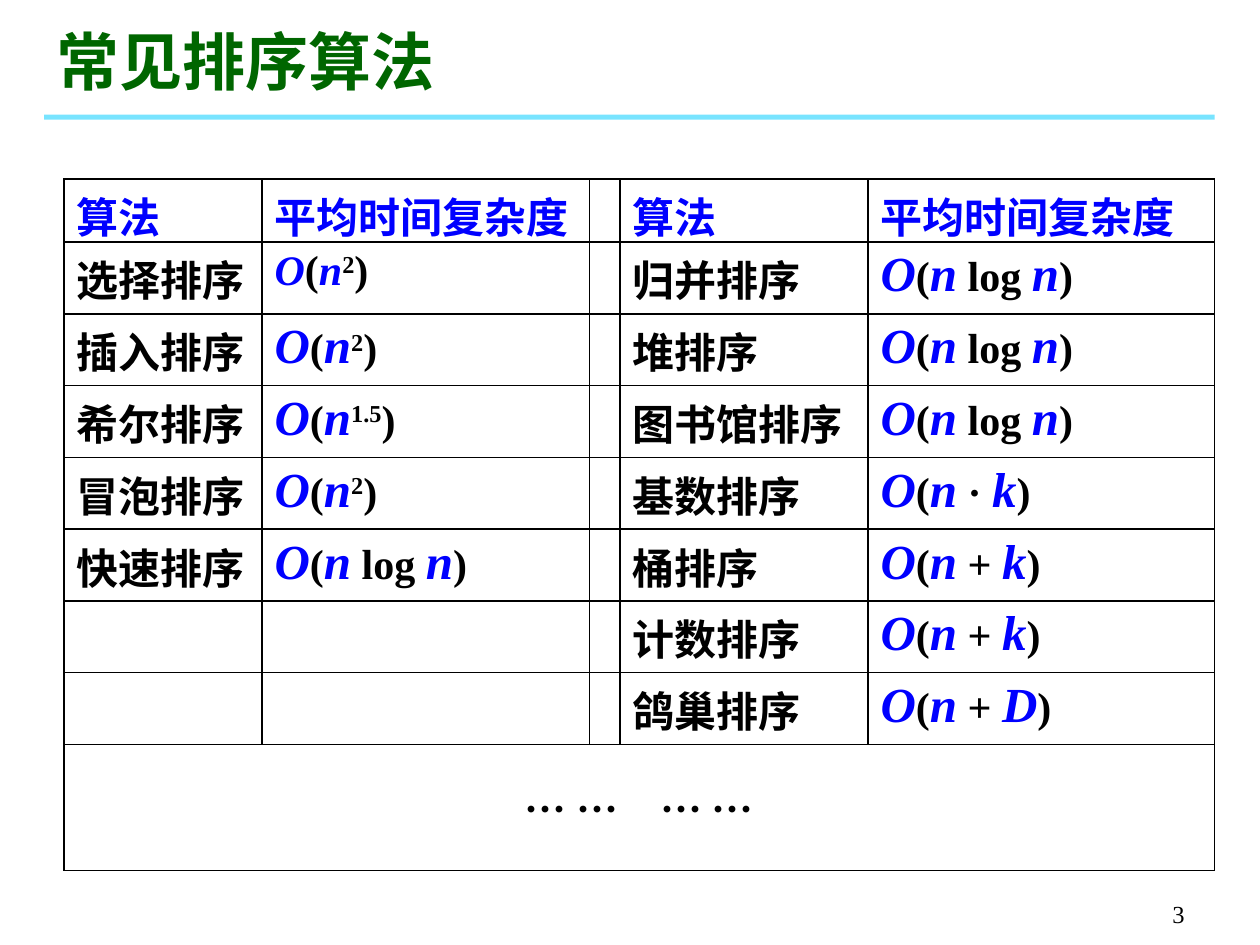
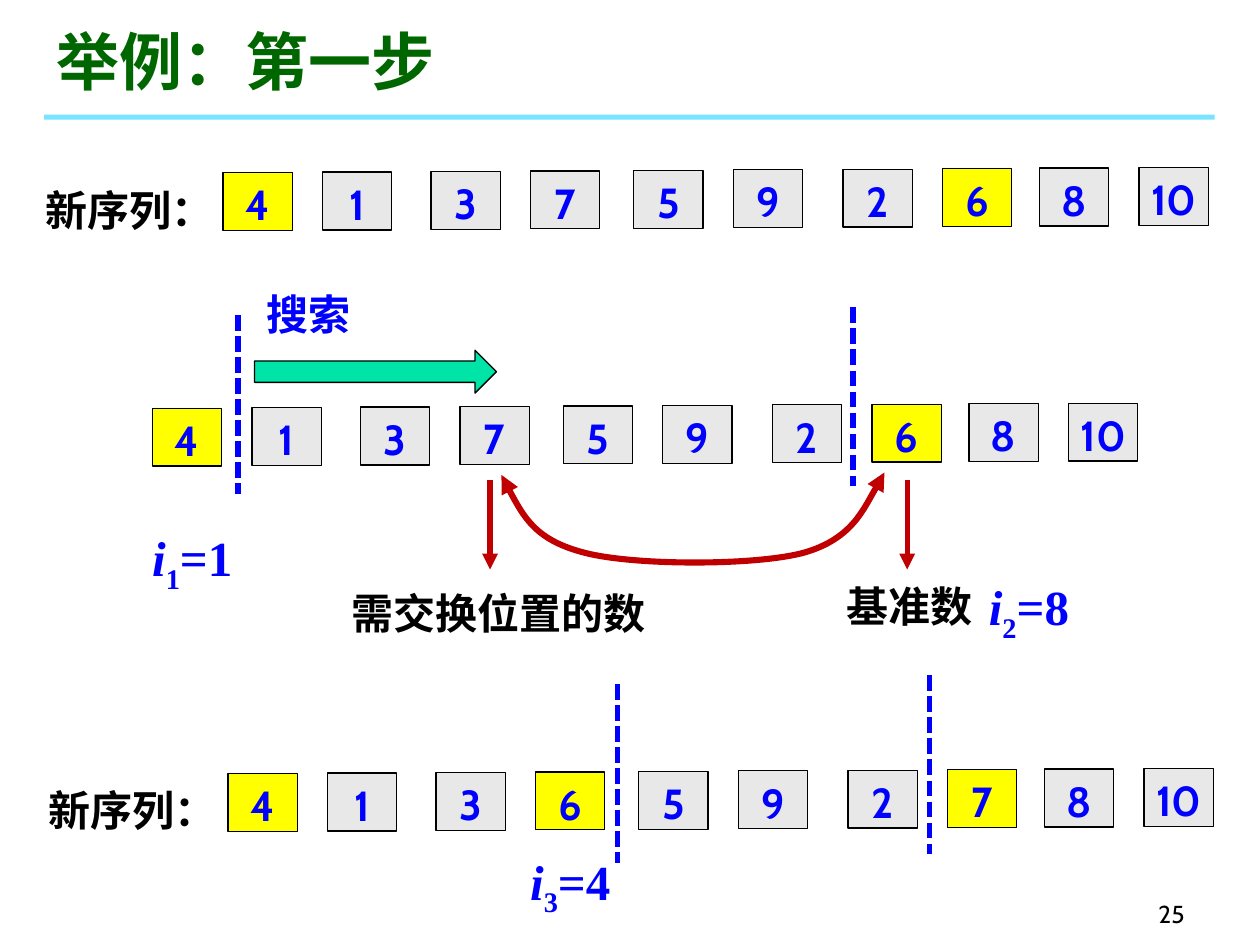
import dataclasses

import lxml.etree
import pptx
import pptx.dml.color
import pptx.enum.dml
import pptx.enum.shapes
import pptx.enum.text
import pptx.oxml
import pptx.oxml.ns
import pptx.util

Inches = pptx.util.Inches
Pt = pptx.util.Pt
qn = pptx.oxml.ns.qn
Align = pptx.enum.text.PP_ALIGN
Anchor = pptx.enum.text.MSO_ANCHOR
AutoSize = pptx.enum.text.MSO_AUTO_SIZE
Preset = pptx.enum.shapes.MSO_SHAPE


@dataclasses.dataclass(frozen=True)
class Theme:
    black: str = "000000"
    blue: str = "0000FF"
    title: str = "006600"
    band: str = "00CCFF"
    plain_box: str = "E8E8E8"
    marked_box: str = "FFFF00"
    search_arrow: str = "00E4A8"
    swap: str = "C00000"
    serif: str = "Times New Roman"
    sans: str = "Cabin"
    mono: str = "DejaVu Sans Mono"
    title_size: int = 36
    symbol_size: int = 28
    body_size: int = 24
    page_size: int = 14


THEME = Theme()

COLUMN_WIDTHS = [1.57, 2.6, 0.24, 1.97, 2.75]
ROW_HEIGHTS = [0.49] + [0.57] * 7 + [1.0]
HEADINGS = ["算法", "平均时间复杂度"]
SQUARE = ["n", "^2"]
LINEARITHMIC = ["n", " log ", "n"]
LEFT_ALGORITHMS = [
    ("选择排序", SQUARE),
    ("插入排序", SQUARE),
    ("希尔排序", ["n", "^1.5"]),
    ("冒泡排序", SQUARE),
    ("快速排序", LINEARITHMIC),
]
RIGHT_ALGORITHMS = [
    ("归并排序", LINEARITHMIC),
    ("堆排序", LINEARITHMIC),
    ("图书馆排序", LINEARITHMIC),
    ("基数排序", ["n", " · ", "k"]),
    ("桶排序", ["n", " + ", "k"]),
    ("计数排序", ["n", " + ", "k"]),
    ("鸽巢排序", ["n", " + ", "D"]),
]

BOX_OFFSETS = [0, 0.79, 1.65, 2.44, 3.26, 4.05, 4.92, 5.71, 6.48, 7.27]
BOX_WIDTH, BOX_HEIGHT, ROW_RISE = 0.55, 0.46, 0.04
START_SEQUENCE = [4, 1, 3, 7, 5, 9, 2, 6, 8, 10]
SWAPPED_SEQUENCE = [4, 1, 3, 6, 5, 9, 2, 7, 8, 10]
DIVIDER_LENGTH = 1.42


def rgb(color):
    return pptx.dml.color.RGBColor.from_string(color)


def style_font(font, size, color, name=None, bold=None, italic=None):
    font.size = Pt(size)
    font.color.rgb = rgb(color)
    font.name = name
    font.bold = bold
    font.italic = italic


def style_shape(shape, fill, line=None, width=0.75):
    shape.shadow.inherit = False
    if fill:
        shape.fill.solid()
        shape.fill.fore_color.rgb = rgb(fill)
    else:
        shape.fill.background()
    if line:
        shape.line.color.rgb = rgb(line)
        shape.line.width = Pt(width)
    else:
        shape.line.fill.background()


def add_arrowheads(shape, *ends):
    line = shape.line._get_or_add_ln()
    for end in ends:
        lxml.etree.SubElement(line, qn(f"a:{end}"), type="triangle")


def write_formula(paragraph, pieces, symbol_size, other_size, other_color):
    paragraph.font.name = THEME.serif
    paragraph.font.bold = True
    for piece in pieces:
        run = paragraph.add_run()
        run.text = piece.lstrip("^_")
        is_symbol = len(piece) == 1 and piece.isalpha()
        style_font(
            run.font,
            symbol_size if is_symbol else other_size,
            THEME.blue if is_symbol else other_color,
            italic=is_symbol,
        )
        baseline = {"^": "30000", "_": "-25000"}.get(piece[0])
        if baseline:
            run._r.get_or_add_rPr().set("baseline", baseline)


def add_text_box(shapes, left, top, width, height, wrap=False):
    frame = shapes.add_textbox(
        Inches(left), Inches(top), Inches(width), Inches(height)
    ).text_frame
    frame.word_wrap = wrap
    frame.auto_size = AutoSize.NONE if wrap else AutoSize.SHAPE_TO_FIT_TEXT
    return frame


def add_label(shapes, text, left, top, width, color=THEME.black):
    paragraph = add_text_box(shapes, left, top, width, 0.5).paragraphs[0]
    paragraph.text = text
    style_font(paragraph.font, THEME.body_size, color, THEME.sans, True)


def add_index(shapes, subscript, value, left, top):
    paragraph = add_text_box(shapes, left, top, 0.86, 0.57).paragraphs[0]
    pieces = ["i", f"_{subscript}", f"={value}"]
    write_formula(paragraph, pieces, THEME.symbol_size, THEME.symbol_size, THEME.blue)


def prepare_layout(layout, slide):
    title = layout.placeholders[0]
    title.left, title.top = Inches(0.35), Inches(0.13)
    title.width, title.height = Inches(5.36), Inches(0.7)
    band = slide.shapes.add_shape(
        Preset.RECTANGLE, Inches(0.35), Inches(0.91), Inches(9.29), Inches(0.04)
    )
    style_shape(band, THEME.band)
    color = band.fill._xPr.find(f".//{qn('a:srgbClr')}")
    lxml.etree.SubElement(color, qn("a:alpha"), val="53000")
    layout.shapes.element.append(band.element)


def fill_title(slide, text):
    frame = slide.shapes.title.text_frame
    frame.vertical_anchor = Anchor.BOTTOM
    frame.auto_size = AutoSize.SHAPE_TO_FIT_TEXT
    paragraph = frame.paragraphs[0]
    paragraph.text = text
    paragraph.alignment = Align.LEFT
    style_font(paragraph.font, THEME.title_size, THEME.title, THEME.serif, True)


def add_page_number(slide, number, font_name):
    frame = add_text_box(slide.shapes, 7.42, 6.92, 2.08, 0.5, wrap=True)
    frame.vertical_anchor = Anchor.BOTTOM
    paragraph = frame.paragraphs[0]
    paragraph.text = str(number)
    paragraph.alignment = Align.RIGHT
    style_font(paragraph.font, THEME.page_size, THEME.black, font_name)


def frame_cell(cell):
    properties = cell._tc.get_or_add_tcPr()
    for side in ("lnL", "lnR", "lnT", "lnB"):
        border = lxml.etree.SubElement(properties, qn(f"a:{side}"), w=str(Pt(1)))
        fill = lxml.etree.SubElement(border, qn("a:solidFill"))
        lxml.etree.SubElement(fill, qn("a:srgbClr"), val=THEME.black)
    cell.fill.background()


def write_cell(cell, text, color=THEME.black, font_name=THEME.sans):
    paragraph = cell.text_frame.paragraphs[0]
    paragraph.text = text
    style_font(paragraph.font, THEME.body_size, color, font_name, True)
    return paragraph


def fill_algorithms(table, first_column, algorithms):
    for column, heading in enumerate(HEADINGS, first_column):
        write_cell(table.cell(0, column), heading, THEME.blue)
    for row, (name, growth) in enumerate(algorithms, 1):
        write_cell(table.cell(row, first_column), name)
        paragraph = table.cell(row, first_column + 1).text_frame.paragraphs[0]
        is_first = row == 1 and first_column == 0
        symbol_size = THEME.body_size if is_first else THEME.symbol_size
        pieces = ["O", "(", *growth, ")"]
        write_formula(paragraph, pieces, symbol_size, THEME.body_size, THEME.black)


def add_complexity_table(slide, left, top):
    table = slide.shapes.add_table(
        len(ROW_HEIGHTS), len(COLUMN_WIDTHS), Inches(left), Inches(top),
        Inches(sum(COLUMN_WIDTHS)), Inches(sum(ROW_HEIGHTS)),
    ).table
    table.first_row = table.horz_banding = False
    for column, width in zip(table.columns, COLUMN_WIDTHS):
        column.width = Inches(width)
    for row, height in zip(table.rows, ROW_HEIGHTS):
        row.height = Inches(height)
    for cell in table.iter_cells():
        frame_cell(cell)
    fill_algorithms(table, 0, LEFT_ALGORITHMS)
    fill_algorithms(table, 3, RIGHT_ALGORITHMS)
    last_row = len(ROW_HEIGHTS) - 1
    more = table.cell(last_row, 0)
    more.merge(table.cell(last_row, len(COLUMN_WIDTHS) - 1))
    more.vertical_anchor = Anchor.MIDDLE
    write_cell(more, "… …　… …", font_name=THEME.serif).alignment = Align.CENTER


def add_sequence(shapes, numbers, marked, left, top):
    for number, offset in zip(numbers, BOX_OFFSETS):
        box = shapes.add_shape(
            Preset.RECTANGLE,
            Inches(left + offset), Inches(top - ROW_RISE * offset / BOX_OFFSETS[-1]),
            Inches(BOX_WIDTH), Inches(BOX_HEIGHT),
        )
        fill = THEME.marked_box if number in marked else THEME.plain_box
        style_shape(box, fill, THEME.black)
        box.text_frame.word_wrap = False
        box.text_frame.vertical_anchor = Anchor.TOP
        paragraph = box.text_frame.paragraphs[0]
        paragraph.text = str(number)
        paragraph.alignment = Align.CENTER
        style_font(paragraph.font, THEME.body_size, THEME.blue, THEME.sans, True)


def add_sequence_label(shapes, left, top, width):
    frame = add_text_box(shapes, left, top, width, 0.55, wrap=True)
    frame.vertical_anchor = Anchor.MIDDLE
    paragraph = frame.paragraphs[0]
    paragraph.text = "新序列："
    paragraph.line_spacing = 1.1
    style_font(paragraph.font, THEME.body_size, THEME.black, THEME.mono, True)


def add_vertical_line(shapes, x, top, length, color):
    line = shapes.add_connector(
        pptx.enum.shapes.MSO_CONNECTOR.STRAIGHT,
        Inches(x), Inches(top), Inches(x), Inches(top + length),
    )
    line.line.color.rgb = rgb(color)
    line.line.width = Pt(3)
    lxml.etree.SubElement(line.element.spPr, qn("a:effectLst"))
    return line


def add_divider(shapes, x, top):
    divider = add_vertical_line(shapes, x, top, DIVIDER_LENGTH, THEME.blue)
    divider.line.dash_style = pptx.enum.dml.MSO_LINE.SQUARE_DOT


def add_swap_curve(shapes, left, top):
    offsets = [
        (0.13, 0.26), (0.27, 0.52), (0.67, 0.62),
        (1.07, 0.72), (2.0, 0.72), (2.39, 0.62),
        (2.79, 0.51), (3.04, -0.02), (3.04, -0.02),
    ]
    builder = shapes.build_freeform(Inches(left), Inches(top))
    builder.add_line_segments(
        [(Inches(left + x), Inches(top + y)) for x, y in offsets], close=False
    )
    curve = builder.convert_to_shape()
    outline = curve.element.find(f".//{qn('a:path')}")
    segments = outline.findall(qn("a:lnTo"))
    for start in range(0, len(segments), 3):
        bezier = lxml.etree.SubElement(outline, qn("a:cubicBezTo"))
        for segment in segments[start:start + 3]:
            bezier.append(segment[0])
            outline.remove(segment)
    style_shape(curve, None, THEME.swap, 3.5)
    add_arrowheads(curve, "headEnd", "tailEnd")


def add_search_step(shapes, left, top):
    add_sequence(shapes, START_SEQUENCE, {4, 6}, left, top)
    add_divider(shapes, left + 0.68, top - 0.74)
    add_divider(shapes, left + 5.56, top - 0.8)
    add_label(shapes, "搜索", left + 0.81, top - 1, 0.88, THEME.blue)
    arrow = shapes.add_shape(
        Preset.RIGHT_ARROW,
        Inches(left + 0.81), Inches(top - 0.46), Inches(1.92), Inches(0.34),
    )
    style_shape(arrow, THEME.search_arrow, THEME.black)
    for x in (2.68, 5.99):
        pointer = add_vertical_line(shapes, left + x, top + 0.57, 0.71, THEME.swap)
        add_arrowheads(pointer, "tailEnd")
    add_swap_curve(shapes, left + 2.77, top + 0.53)
    add_label(shapes, "需交换位置的数", left + 1.48, top + 1.37, 2.57)
    add_label(shapes, "基准数", left + 5.41, top + 1.32, 1.22)
    add_index(shapes, 1, 1, left - 0.1, top + 0.9)
    add_index(shapes, 2, 8, left + 6.54, top + 1.29)


def add_swapped_row(slide, left, top):
    shapes = slide.shapes.add_group_shape().shapes
    add_sequence_label(shapes, left - 1.52, top - 0.01, 1.69)
    add_sequence(shapes, SWAPPED_SEQUENCE, {4, 6, 7}, left, top)
    add_divider(shapes, left + 3.09, top - 0.71)
    add_divider(shapes, left + 5.57, top - 0.78)
    add_index(slide.shapes, 3, 4, left + 2.3, top + 0.57)


def main():
    presentation = pptx.Presentation()
    presentation.slide_width, presentation.slide_height = Inches(10), Inches(7.5)
    layout = presentation.slide_layouts[5]

    algorithms_slide = presentation.slides.add_slide(layout)
    prepare_layout(layout, algorithms_slide)
    fill_title(algorithms_slide, "常见排序算法")
    add_complexity_table(algorithms_slide, 0.51, 1.42)
    add_page_number(algorithms_slide, 3, THEME.serif)

    example_slide = presentation.slides.add_slide(layout)
    fill_title(example_slide, "举例：第一步")
    add_sequence_label(example_slide.shapes, 0.26, 1.37, 1.97)
    add_sequence(example_slide.shapes, START_SEQUENCE, {4, 6}, 1.77, 1.37)
    add_search_step(example_slide.shapes, 1.21, 3.24)
    add_swapped_row(example_slide, 1.81, 6.14)
    add_page_number(example_slide, 25, THEME.sans)

    presentation.save("out.pptx")


if __name__ == "__main__":
    main()
